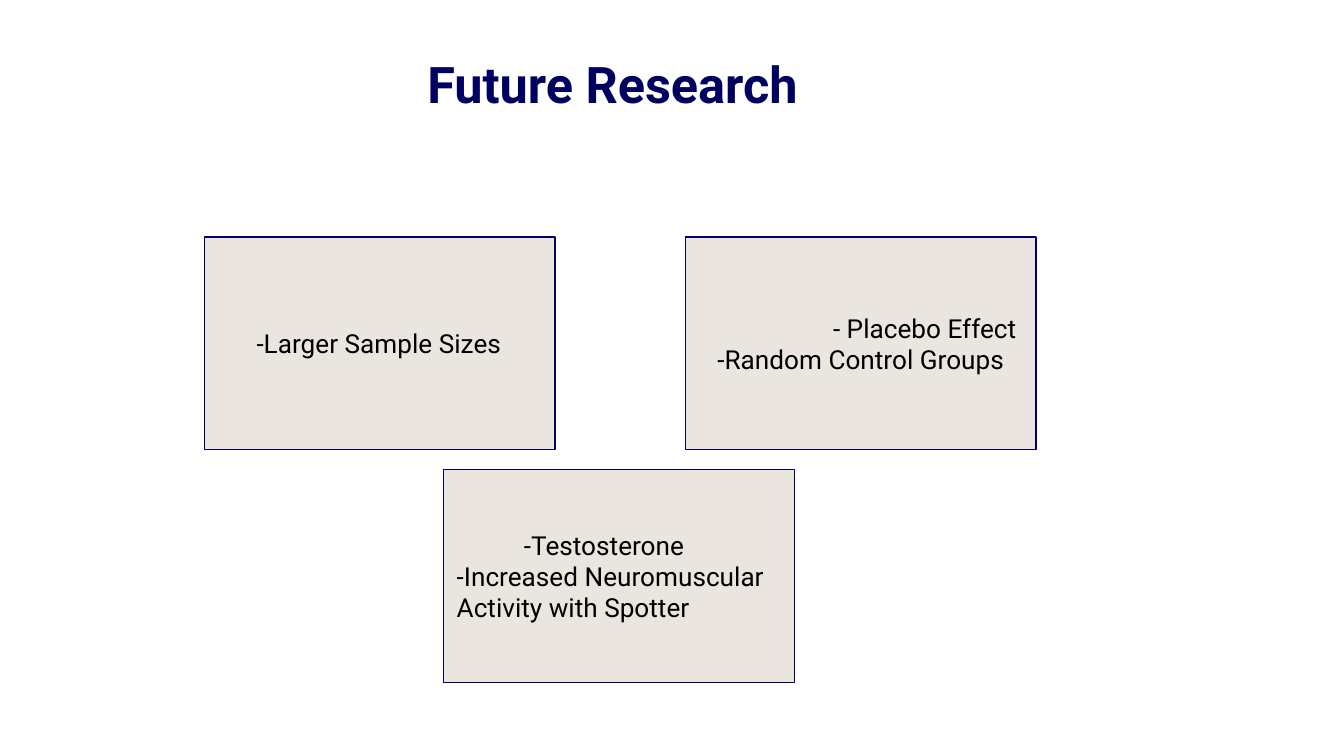
from dataclasses import dataclass

from pptx import Presentation
from pptx.dml.color import RGBColor
from pptx.enum.shapes import MSO_SHAPE
from pptx.enum.text import MSO_ANCHOR, PP_ALIGN
from pptx.util import Inches, Pt

RECTANGLE = MSO_SHAPE.RECTANGLE
TOP, MIDDLE = MSO_ANCHOR.TOP, MSO_ANCHOR.MIDDLE
LEFT, CENTER = PP_ALIGN.LEFT, PP_ALIGN.CENTER

# Widescreen slide, in inches
SLIDE_WIDTH = 10
SLIDE_HEIGHT = SLIDE_WIDTH * 9 / 16

# Grid: square cells of a tenth of an inch
CELL = 0.1
CARD_COLUMNS, CARD_ROWS = 26.1, 15.84
UPPER_ROW, LOWER_ROW = 17.63, 34.94


@dataclass(frozen=True)
class Theme:
    font: str = "Roboto"
    navy: RGBColor = RGBColor(0x00, 0x00, 0x61)
    sand: RGBColor = RGBColor(0xEB, 0xE5, 0xE0)
    black: RGBColor = RGBColor(0x00, 0x00, 0x00)
    title_size: float = 27
    body_size: float = 14
    outline: float = 0.75


@dataclass(frozen=True)
class Idea:
    text: str
    indent: float = 0  # first-line indent, in cells
    align: PP_ALIGN = LEFT


@dataclass(frozen=True)
class Card:
    column: float
    row: float
    ideas: tuple[Idea, ...]


THEME = Theme()

CARDS = (
    Card(15.2, UPPER_ROW, (Idea("-Larger Sample Sizes", indent=2.9),)),
    Card(51, UPPER_ROW, (
        Idea("- Placebo Effect", indent=10),
        Idea("-Random Control Groups", align=CENTER),
    )),
    Card(33, LOWER_ROW, (
        Idea("-Testosterone", indent=5),
        Idea("-Increased Neuromuscular Activity with Spotter"),
    )),
)


def cells(count: float) -> int:
    return Inches(count * CELL)


def set_frame(frame, anchor: MSO_ANCHOR, left: float, top: float,
              right: float, bottom: float) -> None:
    frame.word_wrap = True
    frame.vertical_anchor = anchor
    frame.margin_left, frame.margin_top = cells(left), cells(top)
    frame.margin_right, frame.margin_bottom = cells(right), cells(bottom)


def set_font(paragraph, size: float, color: RGBColor, bold: bool = False) -> None:
    font = paragraph.font
    font.name, font.size, font.bold = THEME.font, Pt(size), bold
    font.color.rgb = color


def draw_title(slide, text: str) -> None:
    title = slide.shapes.add_textbox(cells(31.1), cells(3.9), cells(60), cells(4.7))
    set_frame(title.text_frame, TOP, 0.7, 0.9, 0.7, 0.4)
    heading = title.text_frame.paragraphs[0]
    heading.text = text
    heading.line_spacing = 0.8
    set_font(heading, THEME.title_size, THEME.navy, bold=True)


def draw_card(slide, card: Card) -> None:
    panel = slide.shapes.add_shape(
        RECTANGLE, cells(card.column), cells(card.row),
        cells(CARD_COLUMNS), cells(CARD_ROWS))
    panel.shadow.inherit = False
    panel.fill.solid()
    panel.fill.fore_color.rgb = THEME.sand
    panel.line.color.rgb = THEME.navy
    panel.line.width = Pt(THEME.outline)

    frame = panel.text_frame
    set_frame(frame, MIDDLE, 1, 1, 1, 1)
    for index, idea in enumerate(card.ideas):
        paragraph = frame.add_paragraph() if index else frame.paragraphs[0]
        paragraph.text = idea.text
        paragraph.alignment = idea.align
        properties = paragraph._p.get_or_add_pPr()
        properties.set("marL", "0")
        properties.set("indent", str(cells(idea.indent)))
        set_font(paragraph, THEME.body_size, THEME.black)


def main() -> None:
    deck = Presentation()
    deck.slide_width, deck.slide_height = Inches(SLIDE_WIDTH), Inches(SLIDE_HEIGHT)
    slide = deck.slides.add_slide(deck.slide_layouts[6])

    # Heading
    draw_title(slide, "Future Research")

    # Research ideas
    for card in CARDS:
        draw_card(slide, card)

    deck.save("out.pptx")


if __name__ == "__main__":
    main()
